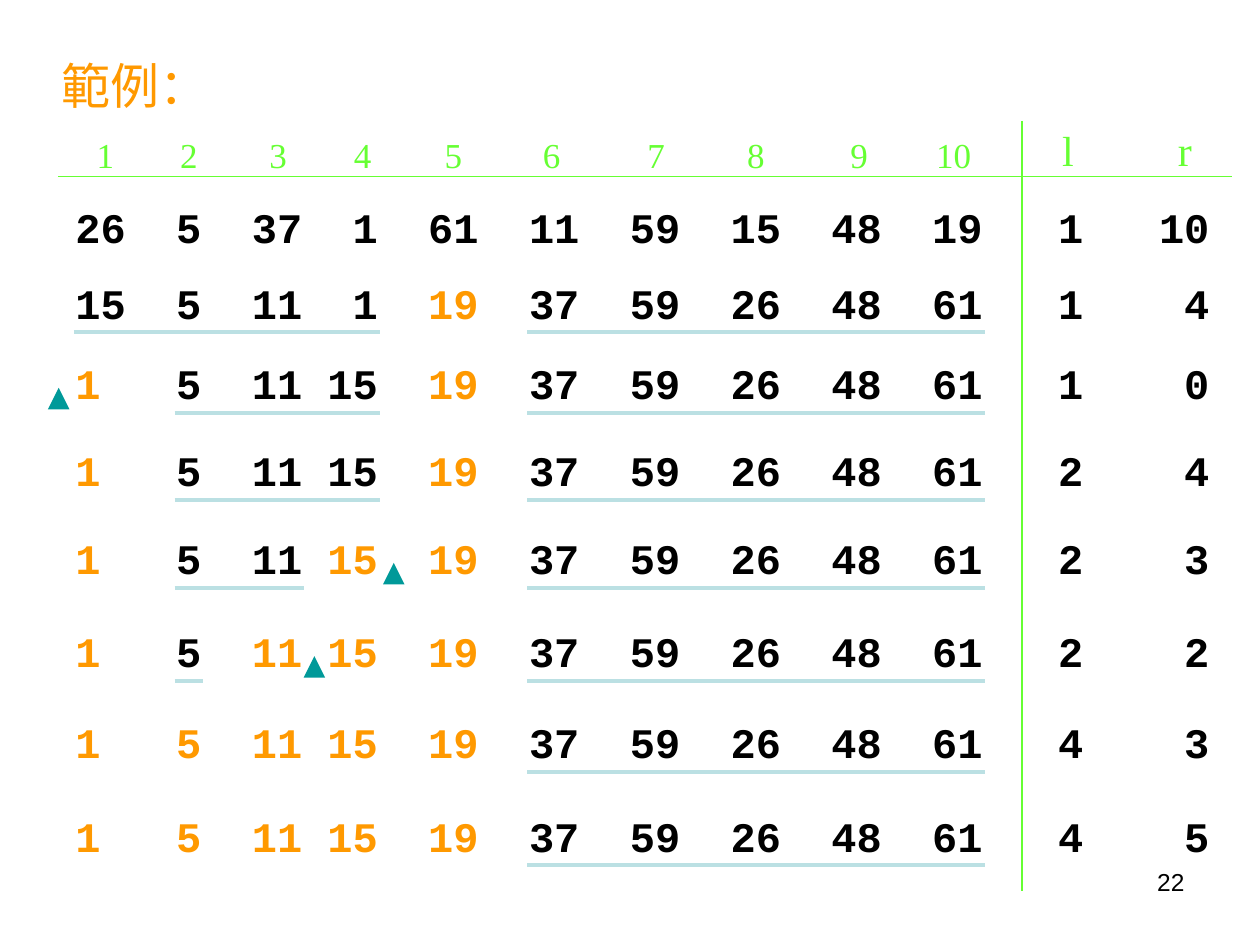
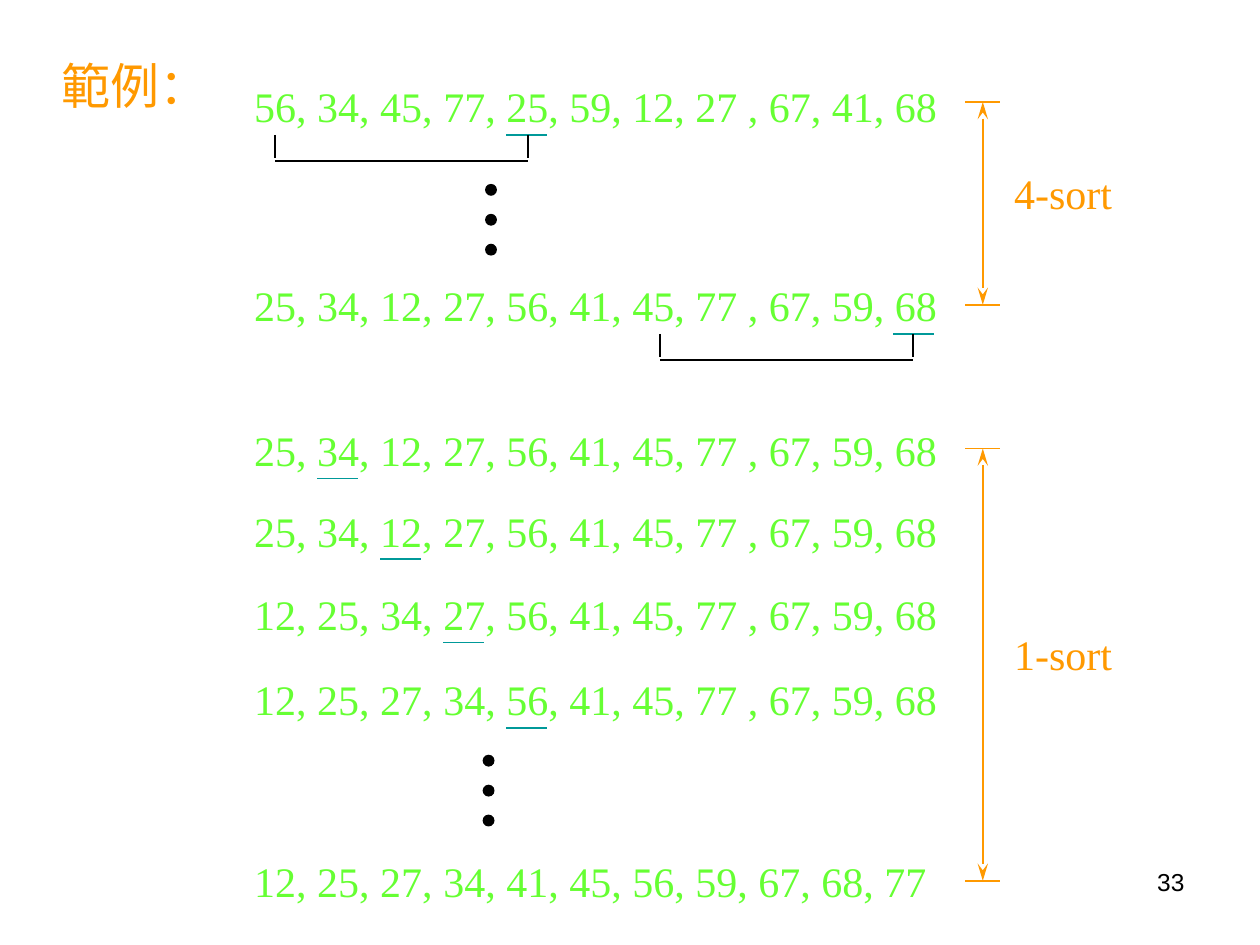
import dataclasses

import lxml.etree
import pptx
import pptx.dml.color
import pptx.enum.shapes
import pptx.enum.text
import pptx.oxml.ns
import pptx.util

Pt = pptx.util.Pt
qn = pptx.oxml.ns.qn
Shapes = pptx.enum.shapes.MSO_SHAPE
Align = pptx.enum.text.PP_ALIGN


@dataclasses.dataclass(frozen=True)
class Theme:
    black: str = "000000"
    orange: str = "FF9900"
    green: str = "66FF33"
    teal: str = "009999"
    pale: str = "BBE0E3"
    title_font: str = "Noto Sans CJK JP"
    serif: str = "Times New Roman"
    mono: str = "Courier New"
    sans: str = "Arial"
    title_size: int = 28
    body_size: int = 24
    index_size: int = 20
    number_size: int = 14


THEME = Theme()


class SlideBuilder:
    """Holds the theme and the slide being drawn; lengths are in points."""

    def __init__(self, presentation, theme):
        self.presentation = presentation
        self.theme = theme
        self.slide = None

    def start(self, title, number):
        layout = self.presentation.slide_layouts.get_by_name("Title Only")
        self.slide = self.presentation.slides.add_slide(layout)
        theme = self.theme
        shape = self.slide.shapes.title
        shape.left, shape.top, shape.width, shape.height = map(Pt, (28, 28, 110, 41))
        frame = shape.text_frame
        self.prepare(frame)
        frame.text = title
        paragraph = frame.paragraphs[0]
        paragraph.alignment = Align.LEFT
        run = paragraph.runs[0]
        self.style(run, theme.title_font, theme.title_size, theme.orange)
        east_asian = lxml.etree.SubElement(run._r.get_or_add_rPr(), qn("a:ea"))
        east_asian.set("typeface", theme.title_font)
        self.text(number, 516.2, 491.8, 167.8, theme.black, theme.number_size,
                  theme.sans, Align.RIGHT)

    @staticmethod
    def prepare(frame):
        frame.word_wrap = True
        frame.auto_size = pptx.enum.text.MSO_AUTO_SIZE.NONE
        frame.vertical_anchor = pptx.enum.text.MSO_ANCHOR.TOP

    @staticmethod
    def style(run, font, size, color, bold=False):
        run.font.name = font
        run.font.size = Pt(size)
        run.font.bold = bold
        run.font.color.rgb = pptx.dml.color.RGBColor.from_string(color)

    def box(self, left, top, width):
        shape = self.slide.shapes.add_textbox(Pt(left), Pt(top), Pt(width), Pt(36))
        self.prepare(shape.text_frame)
        return shape.text_frame

    def text(self, text, left, top, width, color, size=THEME.body_size,
             font=THEME.serif, alignment=Align.LEFT):
        frame = self.box(left, top, width)
        frame.text = text
        paragraph = frame.paragraphs[0]
        paragraph.alignment = alignment
        self.style(paragraph.runs[0], font, size, color)

    def tabbed_row(self, cells, tabs, left, top, width):
        """Cells are (text, colour) pairs; tabs are (position, alignment) pairs."""
        paragraph = self.box(left, top, width).paragraphs[0]
        tab_list = lxml.etree.SubElement(paragraph._p.get_or_add_pPr(), qn("a:tabLst"))
        for position, alignment in tabs:
            lxml.etree.SubElement(tab_list, qn("a:tab"),
                                  pos=str(int(Pt(position))), algn=alignment)
        for index, (text, color) in enumerate(cells):
            run = paragraph.add_run()
            run.text = f"\t{text}" if index else text
            self.style(run, self.theme.mono, self.theme.body_size, color, bold=True)

    def line(self, x1, y1, x2, y2, color, width=1, arrows=False):
        connector = self.slide.shapes.add_connector(
            pptx.enum.shapes.MSO_CONNECTOR.STRAIGHT, Pt(x1), Pt(y1), Pt(x2), Pt(y2))
        connector.line.color.rgb = pptx.dml.color.RGBColor.from_string(color)
        connector.line.width = Pt(width)
        properties = connector._element.spPr
        if arrows:
            for end in ("a:headEnd", "a:tailEnd"):
                lxml.etree.SubElement(properties.find(qn("a:ln")), qn(end),
                                      type="stealth", w="med", len="lg")
        lxml.etree.SubElement(properties, qn("a:effectLst"))

    def mark(self, kind, left, top, size, color):
        shape = self.slide.shapes.add_shape(kind, Pt(left), Pt(top), Pt(size), Pt(size))
        shape.shadow.inherit = False
        shape.fill.solid()
        shape.fill.fore_color.rgb = pptx.dml.color.RGBColor.from_string(color)
        shape.line.fill.background()


# Quick sort trace: one monospaced row per step
CHARACTER = 14.4
ROW_LEFT = 36
ROW_TEXT_LEFT = ROW_LEFT + 7.2
# First and last character of each number column, then of l and r
COLUMNS = [(0, 2), (4, 5), (7, 9), (10, 12), (14, 16), (18, 20), (22, 24),
           (26, 28), (30, 32), (34, 36), (39, 40), (43, 45)]
RIGHT_ALIGNED = (3, 11)
LIST_SIZE = 10
RIGHT_PART = (5, 9)
INDEX_LEFTS = (48.2, 95.8, 146.9, 195.1, 247, 303.1, 362.9, 419.8, 478.8, 527.8)

# Top, numbers with l and r, columns in place, underlined parts, marker left
SORT_STEPS = [
    (111.6, "26 5 37 1 61 11 59 15 48 19 1 10", (), (), None),
    (154.8, "15 5 11 1 19 37 59 26 48 61 1 4", (4,), ((0, 3), RIGHT_PART), None),
    (200.9, "1 5 11 15 19 37 59 26 48 61 1 0", (0, 4), ((1, 3), RIGHT_PART), 27.4),
    (250.6, "1 5 11 15 19 37 59 26 48 61 2 4", (0, 4), ((1, 3), RIGHT_PART), None),
    (301, "1 5 11 15 19 37 59 26 48 61 2 3", (0, 3, 4), ((1, 2), RIGHT_PART), 218.9),
    (354.2, "1 5 11 15 19 37 59 26 48 61 2 2", (0, 2, 3, 4), ((1, 1), RIGHT_PART), 173.5),
    (406.1, "1 5 11 15 19 37 59 26 48 61 4 3", range(5), (RIGHT_PART,), None),
    (459.4, "1 5 11 15 19 37 59 26 48 61 4 5", range(5), (RIGHT_PART,), None),
]


def build_quick_sort(builder):
    theme = builder.theme
    builder.start("範例：", "22")

    # Heading row and rules
    for index, left in enumerate(INDEX_LEFTS, start=1):
        builder.text(str(index), left, 72.7, 40, theme.green, theme.index_size)
    for label, left in (("l", 599.8), ("r", 666)):
        builder.text(label, left, 67.7, 30, theme.green)
    builder.line(33.1, 100.8, 704.2, 100.8, theme.green)
    builder.line(583.9, 69.1, 583.9, 509, theme.green)

    # Steps
    tabs = [(last * CHARACTER, "r") if column in RIGHT_ALIGNED else (first * CHARACTER, "l")
            for column, (first, last) in enumerate(COLUMNS) if column]
    for top, numbers, in_place, parts, marker_left in SORT_STEPS:
        cells = [(number, theme.orange if column in in_place else theme.black)
                 for column, number in enumerate(numbers.split())]
        builder.tabbed_row(cells, tabs, ROW_LEFT, top, 672)
        for first, last in parts:
            start = ROW_TEXT_LEFT + COLUMNS[first][0] * CHARACTER - 1
            end = ROW_TEXT_LEFT + COLUMNS[last][1] * CHARACTER + 1
            builder.line(start, top + 35, end, top + 35, theme.pale, 2)
        if marker_left is not None:
            builder.mark(Shapes.ISOSCELES_TRIANGLE, marker_left, top + 20.7, 12.3, theme.teal)


# Shell sort trace
LIST_LEFT = 138.2
LIST_TEXT_LEFT = LIST_LEFT + 7.2
NUMBER_PITCH = 36
# Top, numbers, underlined number, left of the comparison bracket
SHELL_STEPS = [
    (42.5, "56, 34, 45, 77, 25, 59, 12, 27 , 67, 41, 68", 4, 157.2),
    (156.2, "25, 34, 12, 27, 56, 41, 45, 77 , 67, 59, 68", 10, 377.2),
    (239, "25, 34, 12, 27, 56, 41, 45, 77 , 67, 59, 68", 1, None),
    (285.1, "25, 34, 12, 27, 56, 41, 45, 77 , 67, 59, 68", 2, None),
    (332.6, "12, 25, 34, 27, 56, 41, 45, 77 , 67, 59, 68", 3, None),
    (381.6, "12, 25, 27, 34, 56, 41, 45, 77 , 67, 59, 68", 4, None),
    (485.3, "12, 25, 27, 34, 41, 45, 56, 59, 67, 68, 77", None, None),
]
# Label, label top, top and bottom of the arrow
PASSES = [("4-sort", 92.2, 58.3, 174.2), ("1-sort", 355.7, 256.3, 503.3)]


def build_shell_sort(builder):
    theme = builder.theme
    builder.start("範例：", "33")

    # Lists with underlines and brackets
    for top, numbers, underlined, bracket_left in SHELL_STEPS:
        builder.text(numbers, LIST_LEFT, top, 416, theme.green)
        if underlined is not None:
            extra_space = 5 if underlined > 7 else 0
            start = LIST_TEXT_LEFT + underlined * NUMBER_PITCH + extra_space
            builder.line(start, top + 34.5, start + 23.4, top + 34.5, theme.teal)
        if bracket_left is not None:
            bracket_right = bracket_left + 144.4
            for x in (bracket_left, bracket_right):
                builder.line(x, top + 34.6, x, top + 47.9, theme.black)
            builder.line(bracket_left, top + 49.7, bracket_right, top + 49.7, theme.black)

    # Omitted steps
    for left, top in ((277.2, 105.1), (275.8, 431.3)):
        for index in range(3):
            builder.mark(Shapes.OVAL, left, top + index * 17.1, 6.8, theme.black)

    # Passes
    for label, label_top, top, bottom in PASSES:
        builder.line(561.6, top, 561.6, bottom, theme.orange, arrows=True)
        for y in (top, bottom):
            builder.line(551.5, y, 571.7, y, theme.orange)
        builder.text(label, 572.4, label_top, 80, theme.orange)


def main():
    presentation = pptx.Presentation()
    presentation.slide_width = Pt(720)
    presentation.slide_height = Pt(540)
    builder = SlideBuilder(presentation, THEME)
    build_quick_sort(builder)
    build_shell_sort(builder)
    presentation.save("out.pptx")


if __name__ == "__main__":
    main()
